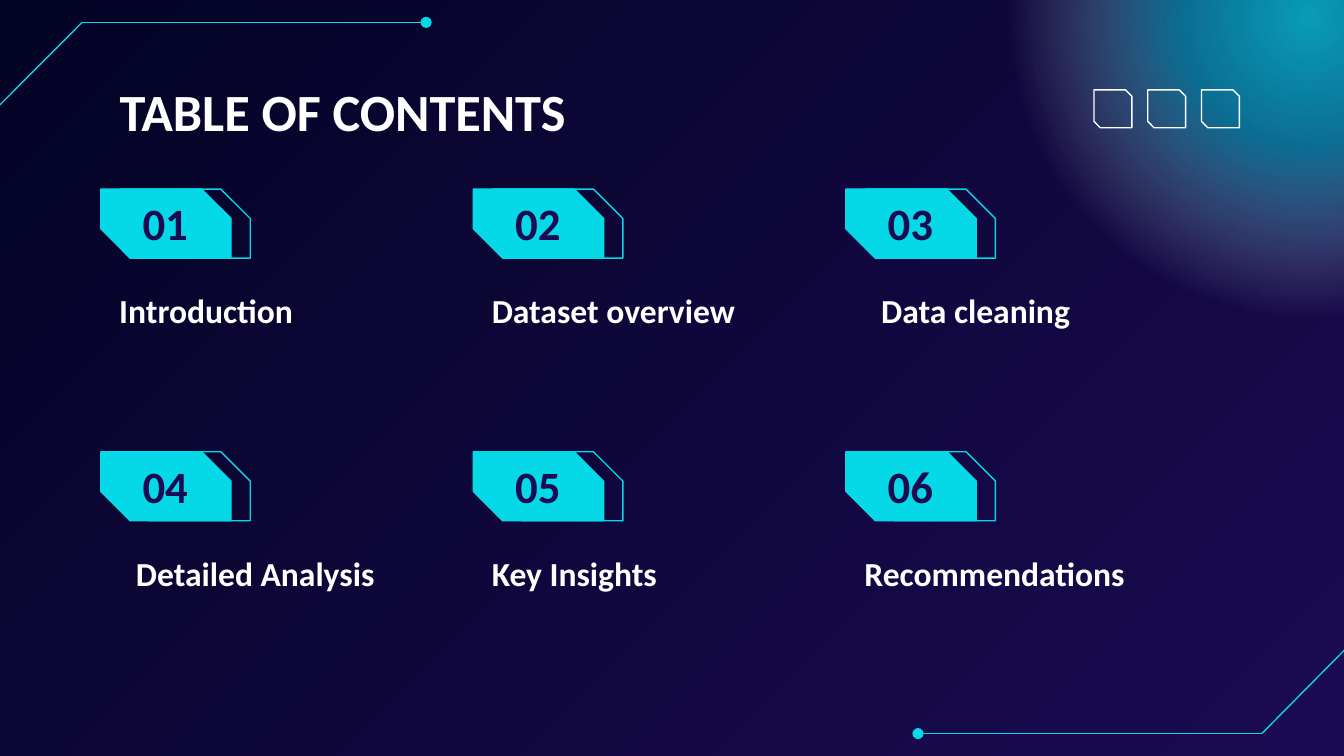
from lxml import etree
from pptx import Presentation
from pptx.dml.color import RGBColor
from pptx.enum.shapes import MSO_CONNECTOR, MSO_SHAPE
from pptx.enum.text import MSO_ANCHOR, MSO_AUTO_SIZE, PP_ALIGN
from pptx.oxml import parse_xml
from pptx.oxml.ns import nsdecls, qn
from pptx.util import Pt

SNIP, OVAL = MSO_SHAPE.SNIP_2_DIAG_RECTANGLE, MSO_SHAPE.OVAL
LINE = MSO_CONNECTOR.STRAIGHT
TOP, MID, LOW = MSO_ANCHOR.TOP, MSO_ANCHOR.MIDDLE, MSO_ANCHOR.BOTTOM
LEFT, MIDDLE = PP_ALIGN.LEFT, PP_ALIGN.CENTER
NO_FIT = MSO_AUTO_SIZE.NONE

CYAN, WHITE, NIGHT, PURPLE = "05D8E7", "FFFFFF", "030325", "1B0B52"
FONT = "Calibri"

TITLE = "TABLE OF CONTENTS"
TOPICS = [  # label, first-line shift
    ("Introduction", 0), ("Dataset overview", 0), ("Data cleaning", 9),
    ("Detailed Analysis", 9), ("Key Insights", 0), ("Recommendations", 0),
]
GLOW = [(0, CYAN, 71), (30, CYAN, 48), (69, WHITE, 0), (100, WHITE, 0)]
CORNERS = [  # outer end, bend, dotted end
    ((-1.5, 57.6), (44, 12), (228.3, 12)),
    ((721.5, 347), (676, 393), (491.8, 393)),
]
COLS, LEFT_X, TOP_Y = 3, 54, 101.3
STEP_X, STEP_Y = 199.6, 140.7


def rgb(code):
    return RGBColor.from_string(code)


def place(box, x, y, w, h):
    box.left, box.top, box.width, box.height = Pt(x), Pt(y), Pt(w), Pt(h)


def snip(x, y, w, h, cut, color, solid=False):
    """Draw a box with its top right and bottom left corners cut."""
    box = slide.shapes.add_shape(SNIP, Pt(x), Pt(y), Pt(w), Pt(h))
    box.shadow.inherit = False
    box.adjustments[0], box.adjustments[1] = 0, cut
    box.line.color.rgb = rgb(color)
    box.line.width = Pt(0.75)
    if solid:
        box.fill.solid()
        box.fill.fore_color.rgb = rgb(color)
    else:
        box.fill.background()


def write(box, text, size, color, anchor, align=LEFT, shift=0):
    frame = box.text_frame
    frame.word_wrap, frame.auto_size = True, NO_FIT
    frame.vertical_anchor = anchor
    frame.margin_left = frame.margin_right = Pt(7.2)
    frame.margin_top = frame.margin_bottom = Pt(7.2)
    frame.text = text
    para = frame.paragraphs[0]
    para.alignment = align
    if shift:
        props = para._p.get_or_add_pPr()
        props.set("marL", str(Pt(36)))
        props.set("indent", str(Pt(shift - 36)))
    font = para.font
    font.name, font.size, font.bold = FONT, Pt(size), True
    font.color.rgb = rgb(color)


def label(x, y, w, h, *style):
    write(slide.shapes.add_textbox(Pt(x), Pt(y), Pt(w), Pt(h)), *style)


def link(start, end, dot=False):
    line = slide.shapes.add_connector(LINE, *map(Pt, start + end))
    line.line.color.rgb = rgb(CYAN)
    line.line.width = Pt(0.75)
    if dot:
        tail = etree.SubElement(line.line._get_or_add_ln(), qn("a:tailEnd"))
        tail.set("type", "oval")
    etree.SubElement(line._element.spPr, qn("a:effectLst"))


def glow(x, y, size):
    """Draw a round light that fades to nothing."""
    disc = slide.shapes.add_shape(OVAL, Pt(x), Pt(y), Pt(size), Pt(size))
    disc.shadow.inherit = False
    disc.line.fill.background()
    stops = "".join(
        f'<a:gs pos="{pos * 1000}"><a:srgbClr val="{color}">'
        f'<a:alpha val="{alpha * 1000}"/></a:srgbClr></a:gs>'
        for pos, color, alpha in GLOW)
    fill = parse_xml(
        f'<a:gradFill {nsdecls("a")}><a:gsLst>{stops}</a:gsLst>'
        '<a:path path="circle"><a:fillToRect l="50000" t="50000" '
        'r="50000" b="50000"/></a:path></a:gradFill>')
    disc._element.spPr.find(qn("a:prstGeom")).addnext(fill)


deck = Presentation()
deck.slide_width, deck.slide_height = Pt(720), Pt(405)
slide = deck.slides.add_slide(deck.slide_layouts[5])

back = slide.background.fill
back.gradient()
back.gradient_angle = 315
for stop, color, pos in zip(back.gradient_stops, (NIGHT, PURPLE), (0, 1)):
    stop.color.rgb, stop.position = rgb(color), pos

glow(536.4, -154.8, 328.3)
for outer, bend, end in CORNERS:
    link(outer, bend)
    link(bend, end, dot=True)

title = slide.shapes.title
place(title, 56.9, 35.3, 565, 45.4)
write(title, TITLE, 28, WHITE, TOP)

for i, (topic, shift) in enumerate(TOPICS):
    row, col = divmod(i, COLS)
    x, y = LEFT_X + col * STEP_X, TOP_Y + row * STEP_Y
    snip(x + 10.3, y, 69.8, 37, 0.426, CYAN)
    snip(x, y, 69.8, 37, 0.426, CYAN, solid=True)
    label(x + 10, y - 3.9, 49, 44, f"{i + 1:02}", 24, PURPLE, MID, MIDDLE)
    label(x + 2.8, y + 46.8, 188, 36, topic, 18, WHITE, LOW, LEFT, shift)

for i in range(3):
    snip(586.1 + i * 28.8, 48.2, 20.3, 20.3, 0.167, WHITE)

deck.save("out.pptx")
